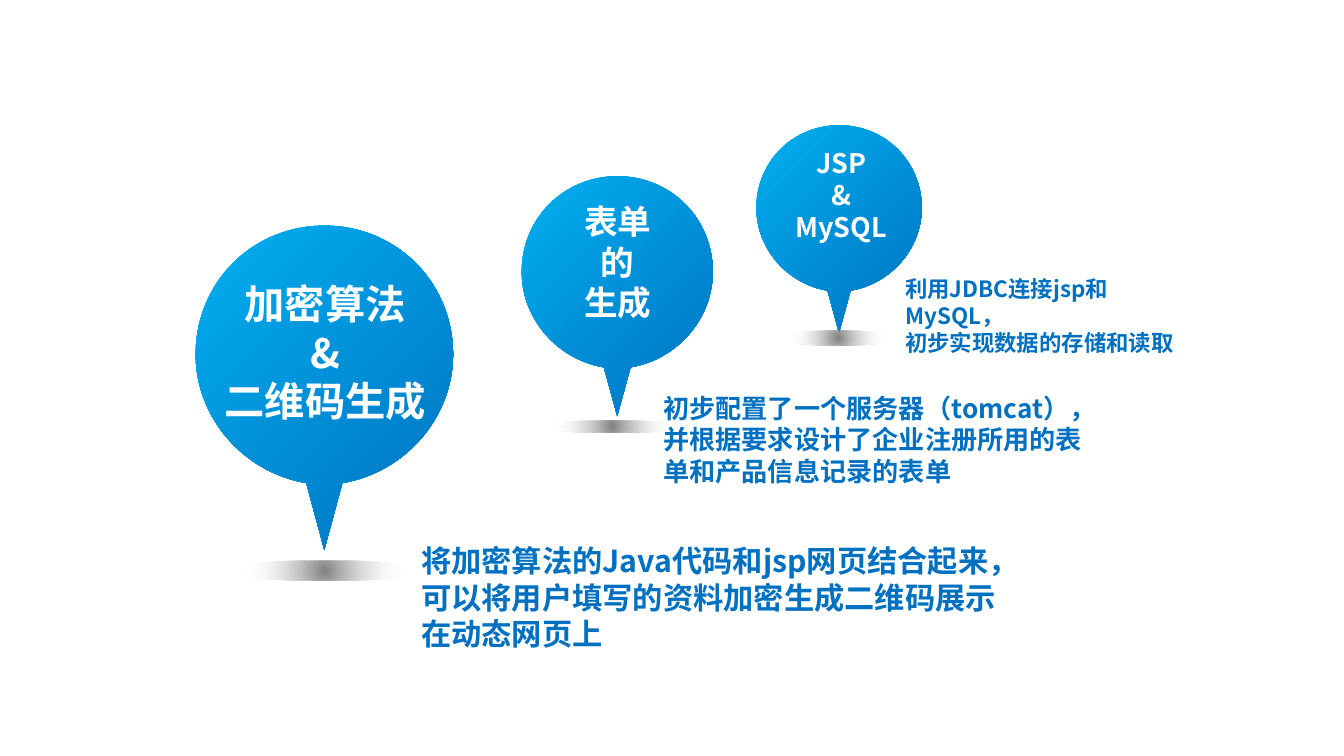
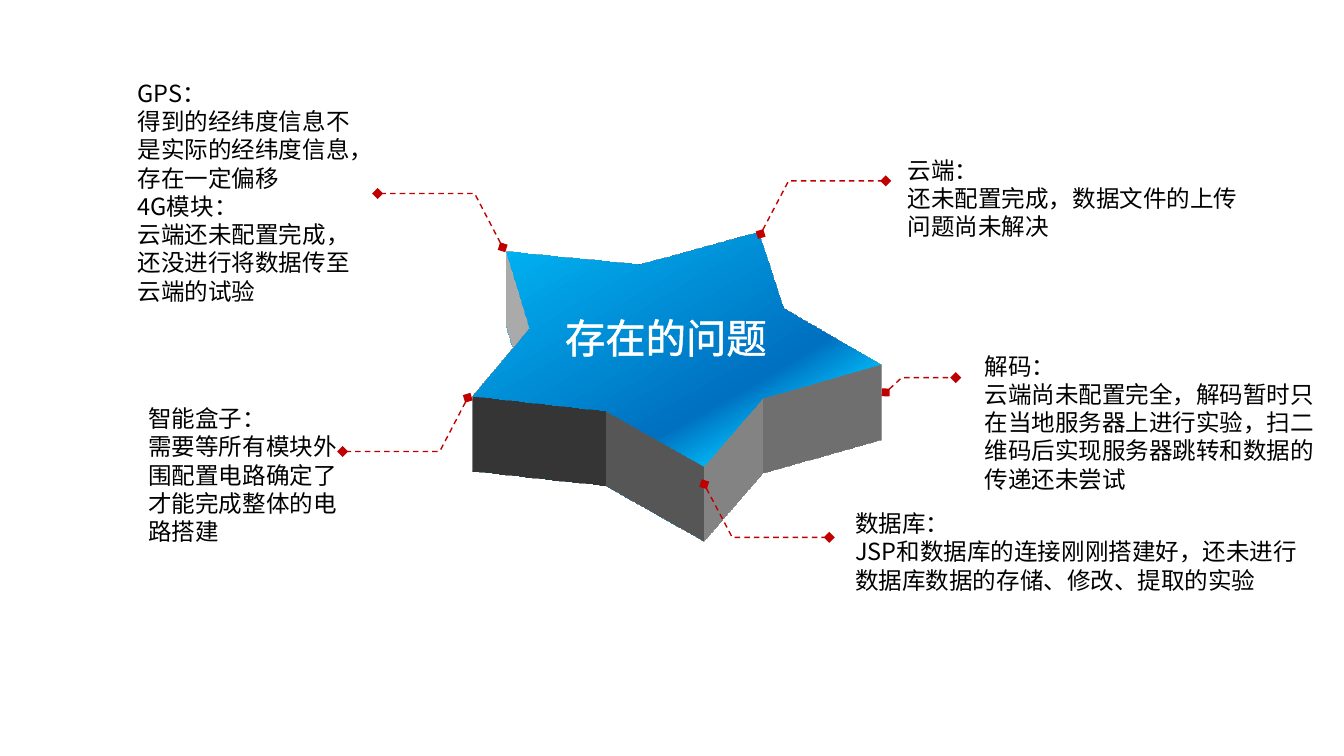
import pptx
import pptx.dml.color
import pptx.enum.dml
import pptx.enum.shapes
import pptx.enum.text
import pptx.oxml
import pptx.oxml.ns
import pptx.util

Pt = pptx.util.Pt
SHAPES = pptx.enum.shapes.MSO_SHAPE
ALIGN = pptx.enum.text.PP_ALIGN
qn = pptx.oxml.ns.qn

FONT = "Noto Sans CJK SC"
COLORS = {
    "paper": "FFFFFF", "sky": "00B0F0", "blue": "0070C0", "ink": "000000",
    "shade": "808080", "leader": "C00000",
}
NAMESPACE = 'xmlns:a="http://schemas.openxmlformats.org/drawingml/2006/main"'
LINEAR = '<a:lin ang="{}" scaled="0"/>'
RADIAL = ('<a:path path="circle"><a:fillToRect l="50000" t="50000" '
          'r="50000" b="50000"/></a:path>')


# Shared helpers
def rgb(value):
    return pptx.dml.color.RGBColor.from_string(value)


def make_element(tag, rest):
    return pptx.oxml.parse_xml(f"<a:{tag} {NAMESPACE} {rest}")


def add_page(deck):
    page = deck.slides.add_slide(deck.slide_layouts[6])
    page.background.fill.solid()
    page.background.fill.fore_color.rgb = rgb(COLORS["paper"])
    return page


def add_text(page, box, lines, size, color, bold=False, align=ALIGN.LEFT,
             outline=0):
    frame = page.shapes.add_textbox(*map(Pt, box)).text_frame
    frame.word_wrap = True
    frame.margin_left = frame.margin_right = Pt(6.8)
    frame.margin_top = frame.margin_bottom = Pt(3.5)
    for index, line in enumerate(lines):
        para = frame.paragraphs[0] if index == 0 else frame.add_paragraph()
        para.text = line
        para.alignment = align
        para.line_spacing = Pt(round(size * 1.2, 1))
        font = para.font
        font.name, font.size, font.bold = FONT, Pt(size), bold
        font.color.rgb = rgb(COLORS[color])
        defaults = para._p.pPr.find(qn("a:defRPr"))
        defaults.append(make_element("ea", f'typeface="{FONT}"/>'))
        if outline:
            defaults.insert(0, make_element(
                "ln", f'w="{Pt(outline)}"><a:solidFill><a:srgbClr '
                f'val="{COLORS[color]}"/></a:solidFill></a:ln>'))


def add_outline(page, points, closed=True):
    (left, top), *rest = [(Pt(x), Pt(y)) for x, y in points]
    builder = page.shapes.build_freeform(left, top)
    builder.add_line_segments(rest, close=closed)
    shape = builder.convert_to_shape()
    shape.shadow.inherit = False
    return shape


def bend_lines(shape, starts):
    """Turn each run of three lines, from the given indexes, into a curve."""
    lines = list(shape._element.iter(qn("a:lnTo")))
    for start in starts:
        curve = make_element("cubicBezTo", "/>")
        lines[start].addprevious(curve)
        for line in lines[start:start + 3]:
            curve.append(line[0])
            line.getparent().remove(line)


def fill_gradient(shape, stops, direction):
    """Each stop is (percent, color name, opacity percent)."""
    marks = "".join(
        f'<a:gs pos="{at * 1000}"><a:srgbClr val="{COLORS[color]}">'
        f'<a:alpha val="{opacity * 1000}"/></a:srgbClr></a:gs>'
        for at, color, opacity in stops)
    gradient = make_element(
        "gradFill", f'rotWithShape="1"><a:gsLst>{marks}</a:gsLst>'
        f'{direction}</a:gradFill>')
    shape.line.fill.background()
    shape._element.spPr.find(qn("a:ln")).addprevious(gradient)


# Balloon: round head with a pointed tail, a ground shadow and a title
def add_balloon(page, box, shadow_box, title_box, title, size):
    group = page.shapes.add_group_shape()
    left, top, width, height = box
    right_side = [(0.5, 0), (0.78, 0), (1, 0.22), (1, 0.5),
                  (1, 0.75), (0.81, 0.96), (0.57, 1)]
    left_side = [(1 - x, y) for x, y in reversed(right_side)]
    points = right_side + [(0.5, height / width)] + left_side
    balloon = add_outline(
        group, [(left + x * width, top + y * width) for x, y in points])
    bend_lines(balloon, (0, 3, 8, 11))
    fill_gradient(balloon, [(0, "sky", 100), (100, "blue", 100)],
                  LINEAR.format(45 * 60000))

    shadow = group.shapes.add_shape(SHAPES.OVAL, *map(Pt, shadow_box))
    fill_gradient(shadow, [(0, "shade", 100), (80, "paper", 0)], RADIAL)
    shadow.shadow.inherit = False
    add_text(group, title_box, title, size, "paper", True, ALIGN.CENTER)


def build_progress(deck):
    page = add_page(deck)
    notes = [
        ((348.5, 206.6, 248.4, 58.3), 14,
         ["初步配置了一个服务器（tomcat），", "并根据要求设计了企业注册所用的表",
          "单和产品信息记录的表单"]),
        ((218.9, 287.3, 336.2, 66.2), 16.2,
         ["将加密算法的Java代码和jsp网页结合起来，",
          "可以将用户填写的资料加密生成二维码展示", "在动态网页上"]),
        ((478.1, 144, 173, 36), 12,
         ["利用JDBC连接jsp和MySQL，", "初步实现数据的存储和读取"]),
    ]
    for box, size, lines in notes:
        add_text(page, box, lines, size, "blue", True)

    add_balloon(page, (104.8, 120.9, 137.9, 173.7), (120.2, 300.2, 107.3, 10.8),
                (112.3, 146.2, 123.8, 85.7), ["加密算法", "&", "二维码生成"], 21.6)
    add_balloon(page, (279.5, 94.4, 102.4, 128.5), (288.7, 225.4, 79.2, 6.5),
                (305.3, 104.4, 51.1, 72.7), ["表单", "的", "生成"], 18)
    add_balloon(page, (405.2, 67.1, 88.6, 111.2), (417.6, 177.1, 62.6, 7.9),
                (417.6, 74.9, 66.2, 59.8), ["JSP", "&", "MySQL"], 14.4)


# Star block: a star seen from above with an extruded depth
def add_star(page, box, depth):
    star = page.shapes.add_shape(SHAPES.STAR_5_POINT, *map(Pt, box))
    star.adjustments[0] = 0.311
    fill_gradient(star, [(0, "sky", 100), (17, "blue", 100),
                         (100, "sky", 100)], LINEAR.format(270 * 60000))
    star.line.color.rgb = rgb(COLORS["paper"])
    star.line.width = Pt(1.5)
    star.shadow.inherit = False
    geometry = star._element.spPr
    geometry.append(make_element(
        "scene3d", '><a:camera prst="isometricTopUp"/>'
        '<a:lightRig rig="threePt" dir="t"/></a:scene3d>'))
    geometry.append(make_element(
        "sp3d", f'extrusionH="{Pt(depth)}"><a:extrusionClr><a:srgbClr '
        f'val="{COLORS["paper"]}"/></a:extrusionClr></a:sp3d>'))


# Leader: dashed elbow line with a diamond at both ends
def add_leader(page, tip, bend, reach, rise):
    x, y = tip
    leader = add_outline(
        page, [(x, y), (x + bend, y + rise), (x + reach, y + rise)], False)
    leader.fill.background()
    leader.line.color.rgb = rgb(COLORS["leader"])
    leader.line.width = Pt(0.75)
    leader.line.dash_style = pptx.enum.dml.MSO_LINE.DASH
    outline = leader._element.spPr.find(qn("a:ln"))
    for end in ("headEnd", "tailEnd"):
        outline.append(make_element(end, 'type="diamond"/>'))


def build_problems(deck):
    page = add_page(deck)
    add_star(page, (239, 69.8, 217.4, 217.4), 49)

    leaders = [
        ((250.6, 213.1), -15, -67, 28.8),
        ((407.5, 125.4), 15, 67, -28.5),
        ((377.3, 259.4), 15, 67, 28.5),
        ((269.3, 132.5), -15, -67, -28.8),
        ((474.5, 210.2), 8.6, 37.5, -7.9),
    ]
    for tip, bend, reach, rise in leaders:
        add_leader(page, tip, bend, reach, rise)

    add_text(page, (295.9, 164.2, 126, 33.1), ["存在的问题"], 21.6, "paper",
             outline=1.45)
    problems = [
        ((72.7, 213.1, 119.5, 83.5),
         ["智能盒子：", "需要等所有模块外围配置电路确定了才能完成整体的电路搭建"]),
        ((479.5, 79.9, 198, 53.3),
         ["云端：", "还未配置完成，数据文件的上传问题尚未解决"]),
        ((451.4, 269.3, 253.4, 53.3),
         ["数据库：", "JSP和数据库的连接刚刚搭建好，还未进行数据库数据的存储、修改、提取的实验"]),
        ((67, 38.9, 136.8, 144.7),
         ["GPS：", "得到的经纬度信息不是实际的经纬度信息，存在一定偏移",
          "4G模块：", "云端还未配置完成，还没进行将数据传至云端的试验"]),
        ((520.6, 185, 217.4, 83.5),
         ["解码：", "云端尚未配置完全，解码暂时只", "在当地服务器上进行实验，扫二",
          "维码后实现服务器跳转和数据的", "传递还未尝试"]),
    ]
    for box, lines in problems:
        add_text(page, box, lines, 12.6, "ink")


def main():
    deck = pptx.Presentation()
    deck.slide_width, deck.slide_height = Pt(720), Pt(405)
    build_progress(deck)
    build_problems(deck)
    deck.save("out.pptx")


if __name__ == "__main__":
    main()
